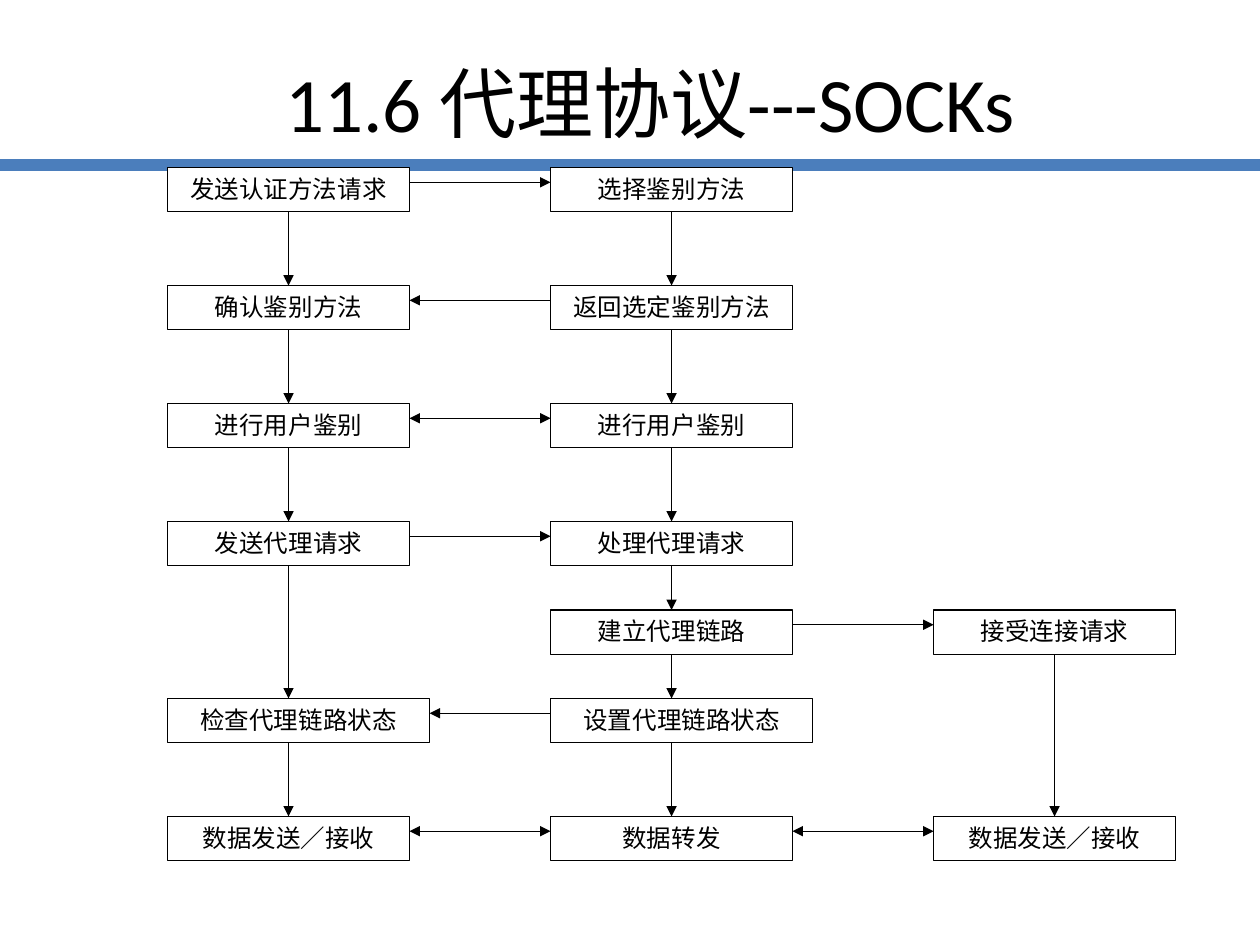
from lxml import etree
from pptx import Presentation
from pptx.dml.color import RGBColor
from pptx.enum.shapes import MSO_CONNECTOR, MSO_SHAPE
from pptx.enum.text import MSO_ANCHOR, PP_ALIGN
from pptx.oxml.ns import qn
from pptx.util import Inches, Pt

STRAIGHT, RECTANGLE = MSO_CONNECTOR.STRAIGHT, MSO_SHAPE.RECTANGLE
CENTER, TOP, MIDDLE = PP_ALIGN.CENTER, MSO_ANCHOR.TOP, MSO_ANCHOR.MIDDLE
BLACK = RGBColor(0x00, 0x00, 0x00)
WHITE = RGBColor(0xFF, 0xFF, 0xFF)
BLUE = RGBColor(0x4B, 0x7E, 0xBC)

# Content: each column maps a row number to its step, top to bottom
TITLE = "11.6 代理协议---SOCKs"
COLUMNS = [
    {0: "发送认证方法请求", 1: "确认鉴别方法", 2: "进行用户鉴别",
     3: "发送代理请求", 5: "检查代理链路状态", 6: "数据发送／接收"},
    {0: "选择鉴别方法", 1: "返回选定鉴别方法", 2: "进行用户鉴别",
     3: "处理代理请求", 4: "建立代理链路", 5: "设置代理链路状态", 6: "数据转发"},
    {4: "接受连接请求", 6: "数据发送／接收"},
]
# Messages between neighbours: row, left column, direction
MESSAGES = [(0, 0, "right"), (1, 0, "left"), (2, 0, "both"), (3, 0, "right"),
            (4, 1, "right"), (5, 0, "left"), (6, 0, "both"), (6, 1, "both")]

# Grid: rows are placed in units, a box is three units high
LEFT, COLUMN_STEP = 1.33, 3.04
FIRST_TOP, LAST_TOP = 1.33, 6.48
ROW_UNITS = [0, 8, 16, 24, 30, 36, 44]
UNIT = (LAST_TOP - FIRST_TOP) / ROW_UNITS[-1]
BOX_HEIGHT = 3 * UNIT
BOX_WIDTH, WIDE_WIDTH, WIDE_ROW = 1.92, 2.08, 5


def column_left(column):
    return LEFT + column * COLUMN_STEP


def row_top(row):
    return FIRST_TOP + ROW_UNITS[row] * UNIT


def box_width(row):
    return WIDE_WIDTH if row == WIDE_ROW else BOX_WIDTH


def write(shape, text, font_name, size, anchor):
    frame = shape.text_frame
    frame.text = text
    frame.word_wrap = True
    frame.vertical_anchor = anchor
    para = frame.paragraphs[0]
    para.alignment = CENTER
    font = para.runs[0].font
    font.name, font.size, font.color.rgb = font_name, Pt(size), BLACK


def add_line(page, start, end, color=BLACK, width=0.75, arrows=()):
    line = page.shapes.add_connector(
        STRAIGHT, *(Inches(value) for value in (*start, *end)))
    line.line.color.rgb = color
    line.line.width = Pt(width)
    outline = line.line._get_or_add_ln()
    for arrow in arrows:
        etree.SubElement(outline, qn(f"a:{arrow}"), type="triangle")
    etree.SubElement(line._element.spPr, qn("a:effectLst"))


def add_step(page, column, row, text):
    box = page.shapes.add_shape(
        RECTANGLE, Inches(column_left(column)), Inches(row_top(row)),
        Inches(box_width(row)), Inches(BOX_HEIGHT))
    box.shadow.inherit = False
    box.fill.solid()
    box.fill.fore_color.rgb = WHITE
    box.line.color.rgb = BLACK
    box.line.width = Pt(0.75)
    write(box, text, "Times New Roman", 14, TOP)


def main():
    deck = Presentation()
    deck.slide_width, deck.slide_height = Inches(10), Inches(7.5)
    page = deck.slides.add_slide(deck.slide_layouts[6])

    # Rule under the title
    add_line(page, (0, 1.31), (10, 1.31), BLUE, 7)

    # Steps, then the downward arrows that join them
    for column, steps in enumerate(COLUMNS):
        for row, text in steps.items():
            add_step(page, column, row, text)
        middle = column_left(column) + BOX_WIDTH / 2
        rows = list(steps)
        for upper, lower in zip(rows, rows[1:]):
            add_line(page, (middle, row_top(upper) + BOX_HEIGHT),
                     (middle, row_top(lower)), arrows=["tailEnd"])

    # Messages across columns
    for row, column, direction in MESSAGES:
        y = row_top(row) + UNIT
        start = (column_left(column) + box_width(row), y)
        end = (column_left(column + 1), y)
        if direction == "left":
            start, end = end, start
        arrows = ["headEnd", "tailEnd"] if direction == "both" else ["tailEnd"]
        add_line(page, start, end, arrows=arrows)

    # Title
    title = page.shapes.add_textbox(
        Inches(0.9), Inches(0.25), Inches(8.52), Inches(1.12))
    write(title, TITLE, "Calibri", 44, MIDDLE)

    deck.save("out.pptx")


if __name__ == "__main__":
    main()
